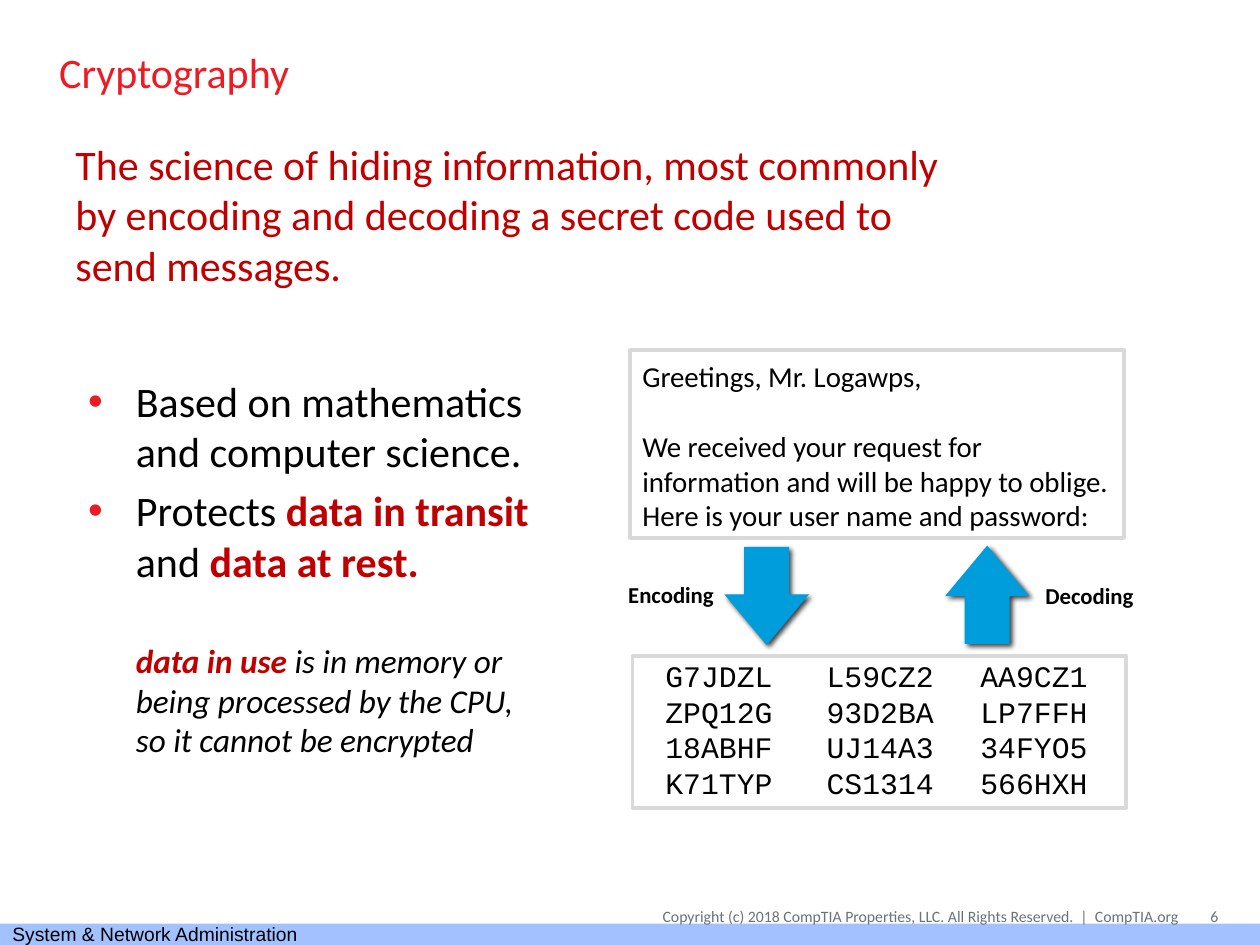
from lxml.etree import SubElement
from pptx import Presentation
from pptx.dml.color import RGBColor
from pptx.enum.shapes import MSO_SHAPE as Shape
from pptx.enum.text import MSO_ANCHOR as Anchor, MSO_AUTO_SIZE as AutoSize, PP_ALIGN as Align
from pptx.oxml.ns import qn
from pptx.util import Pt

PX = 9144  # EMU per px, 100 px to the inch

BLACK = RGBColor(0x00, 0x00, 0x00)
RED = RGBColor(0xED, 0x1C, 0x24)
DARK_RED = RGBColor(0xC0, 0x00, 0x00)
GREY = RGBColor(0x69, 0x72, 0x7B)
LIGHT_GREY = RGBColor(0xD9, 0xD9, 0xD9)
BLUE = RGBColor(0x00, 0x9D, 0xDC)
BAR_BLUE = RGBColor(0xA2, 0xC1, 0xFE)


class SlideBuilder:
    font = "Calibri"
    insets = (10, 5, 10, 5)

    def __init__(self, slide):
        self.slide = slide

    def place(self, shape, at):
        shape.left, shape.top, shape.width, shape.height = (n * PX for n in at)

    def set_frame(self, frame, anchor, insets):
        frame.word_wrap = True
        frame.auto_size = AutoSize.NONE
        frame.vertical_anchor = anchor
        (frame.margin_left, frame.margin_top,
         frame.margin_right, frame.margin_bottom) = (n * PX for n in insets)

    def set_font(self, para, size, color=BLACK, name=None, bold=False, italic=False):
        font = para.font
        font.size, font.name = Pt(size), name or self.font
        font.bold, font.italic = bold, italic
        font.color.rgb = color

    def title(self, at, text, size, color):
        title = self.slide.shapes.title
        self.place(title, at)
        self.set_frame(title.text_frame, Anchor.MIDDLE, self.insets)
        title.text_frame.text = text
        para = title.text_frame.paragraphs[0]
        para.alignment = Align.LEFT
        self.set_font(para, size, color)

    def text(self, at, lines, size, align=Align.LEFT, anchor=Anchor.TOP,
             insets=insets, gap=0, tabs=(), **style):
        """Add a text box with one paragraph a line, gap points apart."""
        box = self.slide.shapes.add_textbox(*(n * PX for n in at))
        frame = box.text_frame
        self.set_frame(frame, anchor, insets)
        for index, line in enumerate(lines):
            para = frame.paragraphs[0] if index == 0 else frame.add_paragraph()
            para.text = line
            para.alignment = align
            if index:
                para.space_before = Pt(gap)
            if tabs:
                tab_list = SubElement(para._p.get_or_add_pPr(), qn("a:tabLst"))
                for stop in tabs:
                    SubElement(tab_list, qn("a:tab"), pos=str(stop * PX), algn="l")
            self.set_font(para, size, **style)

    def points(self, at, items, indent):
        """Add paragraphs of (bulleted, size, italic, space before, (text, stressed) spans)."""
        box = self.slide.shapes.add_textbox(*(n * PX for n in at))
        frame = box.text_frame
        self.set_frame(frame, Anchor.TOP, self.insets)
        for index, (bulleted, size, italic, gap, spans) in enumerate(items):
            para = frame.paragraphs[0] if index == 0 else frame.add_paragraph()
            props = para._p.get_or_add_pPr()
            props.set("marL", str(indent * PX))
            props.set("indent", str(-indent * PX if bulleted else 0))
            para.space_before = Pt(gap)
            if bulleted:
                color = SubElement(props, qn("a:buClr"))
                SubElement(color, qn("a:srgbClr"), val=str(RED))
                SubElement(props, qn("a:buFont"), typeface="Arial")
                SubElement(props, qn("a:buChar"), char="•")
            self.set_font(para, size, italic=italic)
            for text, stressed in spans:
                span = para.add_run()
                span.text = text
                if stressed:
                    span.font.bold = True
                    span.font.color.rgb = DARK_RED

    def shape(self, kind, at, fill=None, line=None):
        shape = self.slide.shapes.add_shape(kind, *(n * PX for n in at))
        shape.shadow.inherit = False
        if fill is None:
            shape.fill.background()
        else:
            shape.fill.solid()
            shape.fill.fore_color.rgb = fill
        if line is None:
            shape.line.fill.background()
        else:
            shape.line.color.rgb = line
            shape.line.width = Pt(2.25)
        return shape

    def arrow(self, kind, at):
        arrow = self.shape(kind, at, fill=BLUE)
        arrow.adjustments[0], arrow.adjustments[1] = 0.53, 0.6
        effects = arrow._element.spPr.find(qn("a:effectLst"))
        shadow = SubElement(effects, qn("a:outerShdw"), blurRad=str(Pt(3)),
                            dist=str(Pt(2)), dir="2700000", algn="ctr", rotWithShape="0")
        color = SubElement(shadow, qn("a:srgbClr"), val=str(BLACK))
        SubElement(color, qn("a:alpha"), val="75000")


def main():
    deck = Presentation()
    deck.slide_width, deck.slide_height = 1000 * PX, 750 * PX
    page = SlideBuilder(deck.slides.add_slide(deck.slide_layouts[5]))

    page.shape(Shape.RECTANGLE, (0, 733, 1000, 17), fill=BAR_BLUE)
    page.text((0, 733, 1000, 17), ["System & Network Administration"], 11,
              anchor=Anchor.MIDDLE, insets=(10, 0, 10, 0), name="Arial")
    footer = dict(size=9, align=Align.RIGHT, anchor=Anchor.MIDDLE,
                  insets=(0, 5, 0, 5), color=GREY)
    page.text((388, 712, 547, 30), ["Copyright (c) 2018 CompTIA Properties, LLC. "
              "All Rights Reserved. \u00a0|\u00a0 CompTIA.org".replace("\u00a0", " ")], **footer)
    page.text((938, 712, 29, 30), ["6"], **footer)

    page.title((37, 11, 925, 92), "Cryptography", 24, RED)
    page.text((50, 105, 725, 128),
              ["The science of hiding information, most commonly by encoding "
               "and decoding a secret code used to send messages."], 24, color=DARK_RED)
    page.points((60, 293, 385, 332), [
        (True, 24, False, 0, [("Based on mathematics and computer science.", False)]),
        (True, 24, False, 5, [("Protects ", False), ("data in transit ", True),
                              ("and ", False), ("data at rest.", True)]),
        (False, 19, True, 31, [("data in use ", True),
                               ("is in memory or being processed by the CPU, "
                                "so it cannot be encrypted", False)]),
    ], indent=38)

    page.shape(Shape.RECTANGLE, (500, 278, 392, 149), line=LIGHT_GREY)
    page.shape(Shape.RECTANGLE, (502, 521, 392, 120), line=LIGHT_GREY)
    page.text((500, 280, 392, 149),
              ["Greetings, Mr. Logawps,",
               "We received your request for information and will be happy to oblige. "
               "Here is your user name and password:"], 16.5, gap=20)
    cipher_rows = [
        ("G7JDZL", "L59CZ2", "AA9CZ1"),
        ("ZPQ12G", "93D2BA", "LP7FFH"),
        ("18ABHF", "UJ14A3", "34FYO5"),
        ("K71TYP", "CS1314", "566HXH"),
    ]
    page.text((500, 517, 392, 125), ["\t".join(row) for row in cipher_rows], 17,
              insets=(28, 5, 10, 5), tabs=(128, 250), name="Courier New")

    page.arrow(Shape.DOWN_ARROW, (575, 434, 67, 78))
    page.arrow(Shape.UP_ARROW, (750, 433, 67, 78))
    for left, top, label in ((483, 456, "Encoding"), (815, 457, "Decoding")):
        page.text((left, top, 99, 32), [label], 13, align=Align.CENTER, bold=True)

    deck.save("out.pptx")


if __name__ == "__main__":
    main()
